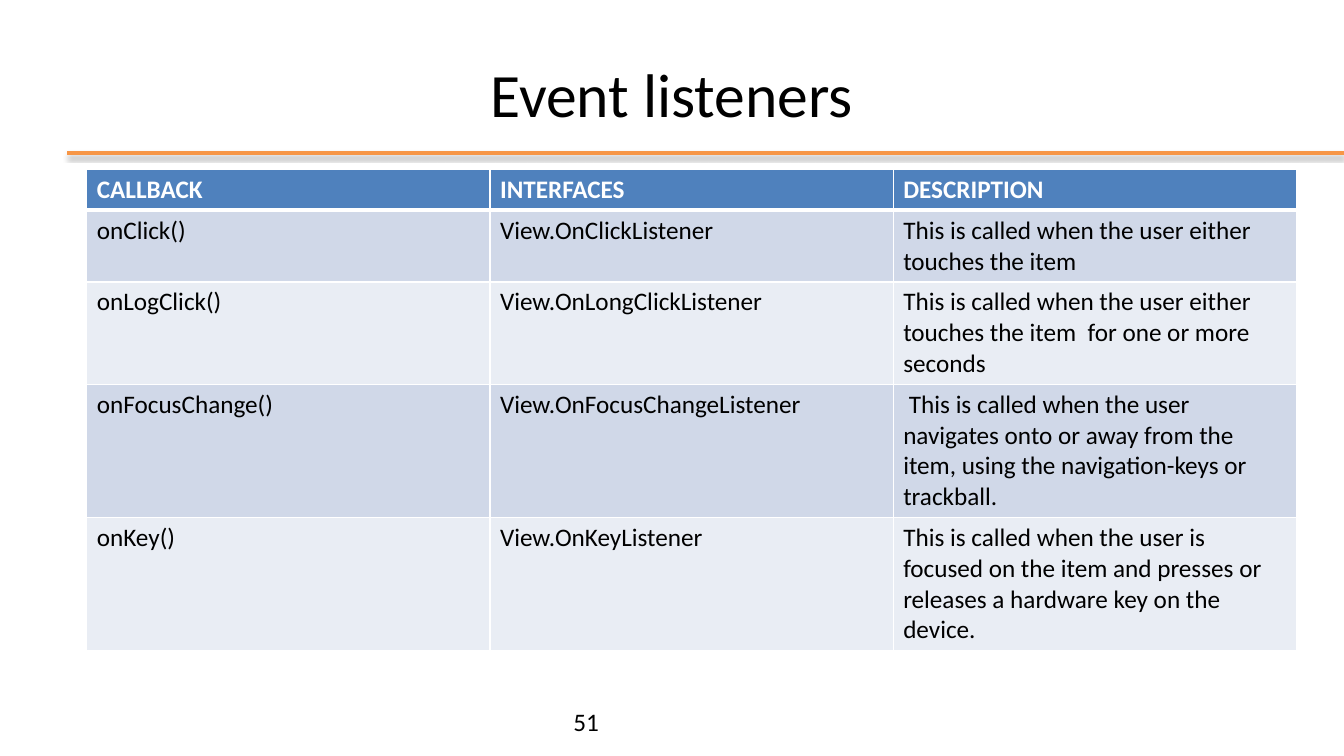
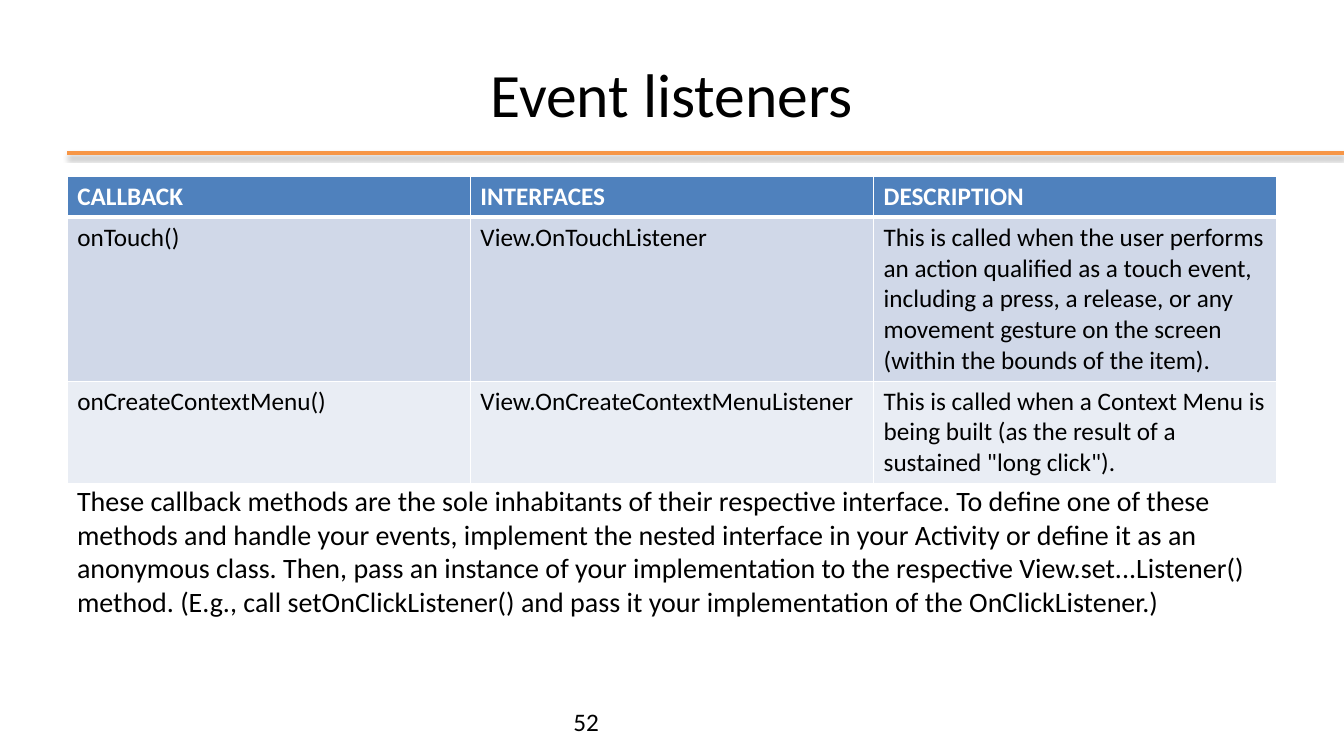
from lxml import etree
from pptx import Presentation
from pptx.dml.color import RGBColor
from pptx.enum.shapes import MSO_CONNECTOR as CONN
from pptx.enum.text import MSO_ANCHOR as ANCHOR, MSO_AUTO_SIZE as AUTO, PP_ALIGN as ALIGN
from pptx.oxml.ns import qn
from pptx.util import Pt

BLACK = RGBColor(0x00, 0x00, 0x00)
WHITE = RGBColor(0xFF, 0xFF, 0xFF)
ORANGE = RGBColor(0xF7, 0x96, 0x46)
BLUE = RGBColor(0x4F, 0x81, 0xBD)
BANDS = RGBColor(0xD0, 0xD8, 0xE8), RGBColor(0xE9, 0xED, 0xF4)

SLIDE_W, SLIDE_H = 960, 540
MARGIN, CONTENT_W = 48, 864
TITLE_BOX = MARGIN, 21.6, CONTENT_W, 90
NUMBER_BOX = 402.5, 501, 509, 29
RULE_Y = 109.5
HEADER_H = 29

TITLE_FONT = dict(name="Calibri", size=Pt(44), bold=False)
BODY_FONT = dict(name="Calibri", size=Pt(18), bold=False)
HEADER_FONT = dict(BODY_FONT, bold=True)
NOTE_FONT = dict(BODY_FONT, size=Pt(20))

HEADER = "CALLBACK", "INTERFACES", "DESCRIPTION"
# Each row: height, then the three cell texts
INPUT_ROWS = [
    (51, "onClick()", "View.OnClickListener",
     "This is called when the user either touches the item"),
    (73, "onLogClick()", "View.OnLongClickListener",
     "This is called when the user either touches the item  for one or more seconds"),
    (95, "onFocusChange()", "View.OnFocusChangeListener",
     " This is called when the user navigates onto or away from the item, "
     "using the navigation-keys or trackball."),
    (95, "onKey()", "View.OnKeyListener",
     "This is called when the user is focused on the item and presses or "
     "releases a hardware key on the device."),
]
TOUCH_ROWS = [
    (117, "onTouch()", "View.OnTouchListener",
     "This is called when the user performs an action qualified as a touch event, "
     "including a press, a release, or any movement gesture on the screen "
     "(within the bounds of the item)."),
    (73, "onCreateContextMenu()", "View.OnCreateContextMenuListener",
     "This is called when a Context Menu is being built "
     "(as the result of a sustained \"long click\")."),
]
NOTE = ("These callback methods are the sole inhabitants of their respective interface. "
        "To define one of these methods and handle your events, implement the nested "
        "interface in your Activity or define it as an anonymous class. Then, pass an "
        "instance of your implementation to the respective View.set...Listener() method. "
        "(E.g., call setOnClickListener() and pass it your implementation "
        "of the OnClickListener.)")


def write(tf, text, font, color=BLACK, align=ALIGN.LEFT):
    p = tf.paragraphs[0]
    p.alignment = align
    r = p.add_run()
    r.text = text
    for key, value in font.items():
        setattr(r.font, key, value)
    r.font.color.rgb = color


def add_text(s, box, text, font):
    tf = s.shapes.add_textbox(*map(Pt, box)).text_frame
    tf.word_wrap = True
    write(tf, text, font)
    return tf


def add_title(s, box, text):
    title = s.shapes.title
    title.left, title.top, title.width, title.height = map(Pt, box)
    title.text_frame.vertical_anchor = ANCHOR.MIDDLE
    write(title.text_frame, text, TITLE_FONT, align=ALIGN.CENTER)


def add_rule(s, left, right, y):
    """Draw the orange rule with a soft shadow below it."""
    line = s.shapes.add_connector(CONN.STRAIGHT, Pt(left), Pt(y), Pt(right), Pt(y))
    line.line.color.rgb = ORANGE
    line.line.width = Pt(3)
    effects = etree.SubElement(line._element.spPr, qn("a:effectLst"))
    shadow = etree.SubElement(effects, qn("a:outerShdw"), blurRad=str(Pt(3.1)),
                              dist=str(Pt(1.8)), dir="5400000", rotWithShape="0")
    color = etree.SubElement(shadow, qn("a:srgbClr"), val=str(BLACK))
    etree.SubElement(color, qn("a:alpha"), val="35000")


def set_borders(cell, **widths):
    """Draw white cell borders, 1 pt unless a side (L, R, T, B) is given."""
    tc_pr = cell._tc.get_or_add_tcPr()
    for side in "LRTB":
        ln = etree.SubElement(tc_pr, qn(f"a:ln{side}"), w=str(Pt(widths.get(side, 1))))
        fill = etree.SubElement(ln, qn("a:solidFill"))
        etree.SubElement(fill, qn("a:srgbClr"), val=str(WHITE))


def add_callback_table(s, left, top, width, rows):
    rows = [(HEADER_H, *HEADER), *rows]
    height = sum(row[0] for row in rows)
    table = s.shapes.add_table(len(rows), len(HEADER), Pt(left), Pt(top),
                               Pt(width), Pt(height)).table
    table.horz_banding = False
    for i, (row_h, *texts) in enumerate(rows):
        table.rows[i].height = Pt(row_h)
        # The edge below the header is thick, seen from both of its rows
        widths = {0: {"B": 3}, 1: {"T": 3}}.get(i, {})
        for j, text in enumerate(texts):
            cell = table.cell(i, j)
            set_borders(cell, **widths)
            cell.fill.solid()
            cell.fill.fore_color.rgb = BANDS[(i - 1) % 2] if i else BLUE
            write(cell.text_frame, text, BODY_FONT if i else HEADER_FONT,
                  BLACK if i else WHITE)


def add_listener_slide(prs, number, left, top, rows):
    s = prs.slides.add_slide(prs.slide_layouts[5])
    add_rule(s, MARGIN, SLIDE_W, RULE_Y)
    add_title(s, TITLE_BOX, "Event listeners")
    add_callback_table(s, left, top, CONTENT_W, rows)
    add_text(s, NUMBER_BOX, str(number), BODY_FONT)
    return s


def main():
    prs = Presentation()
    prs.slide_width, prs.slide_height = Pt(SLIDE_W), Pt(SLIDE_H)
    add_listener_slide(prs, 51, 62, 121, INPUT_ROWS)
    s = add_listener_slide(prs, 52, MARGIN, 126, TOUCH_ROWS)
    tf = add_text(s, (MARGIN, 342, CONTENT_W, 128), NOTE, NOTE_FONT)
    tf.auto_size = AUTO.SHAPE_TO_FIT_TEXT
    prs.save("out.pptx")


if __name__ == "__main__":
    main()
